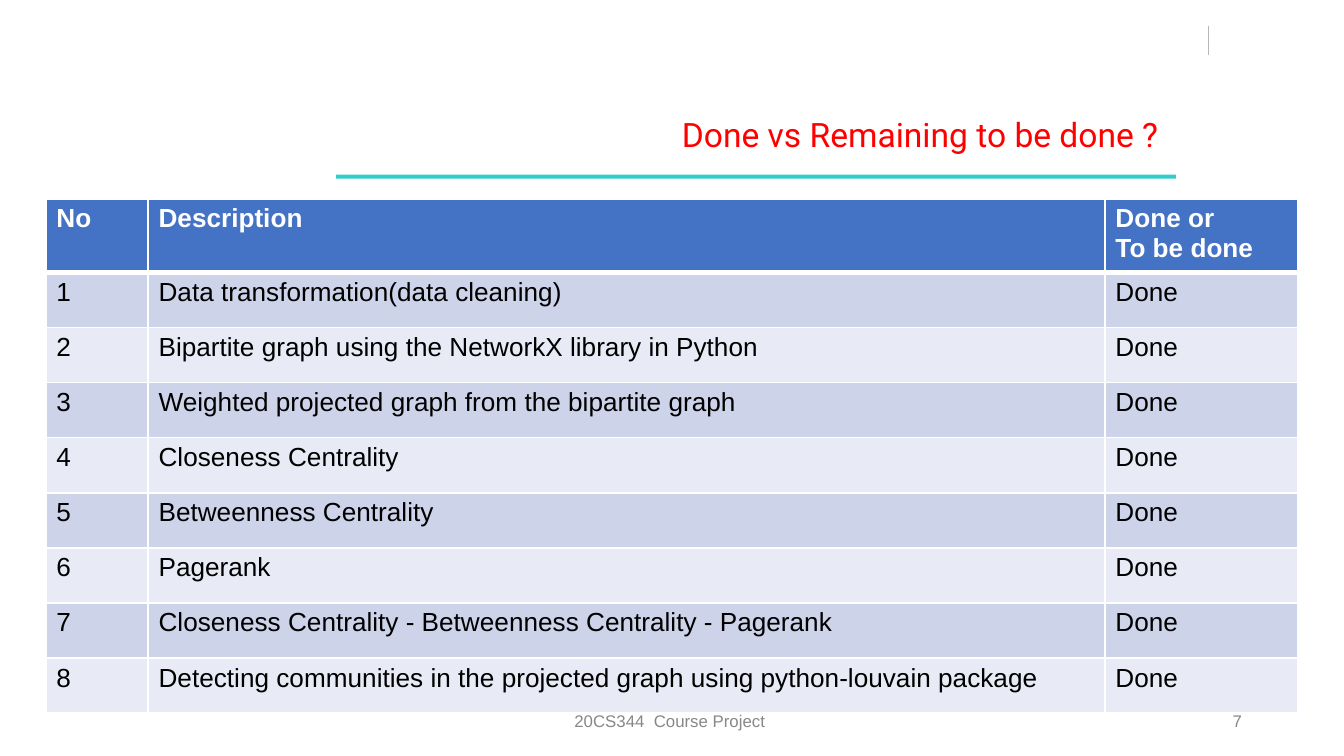
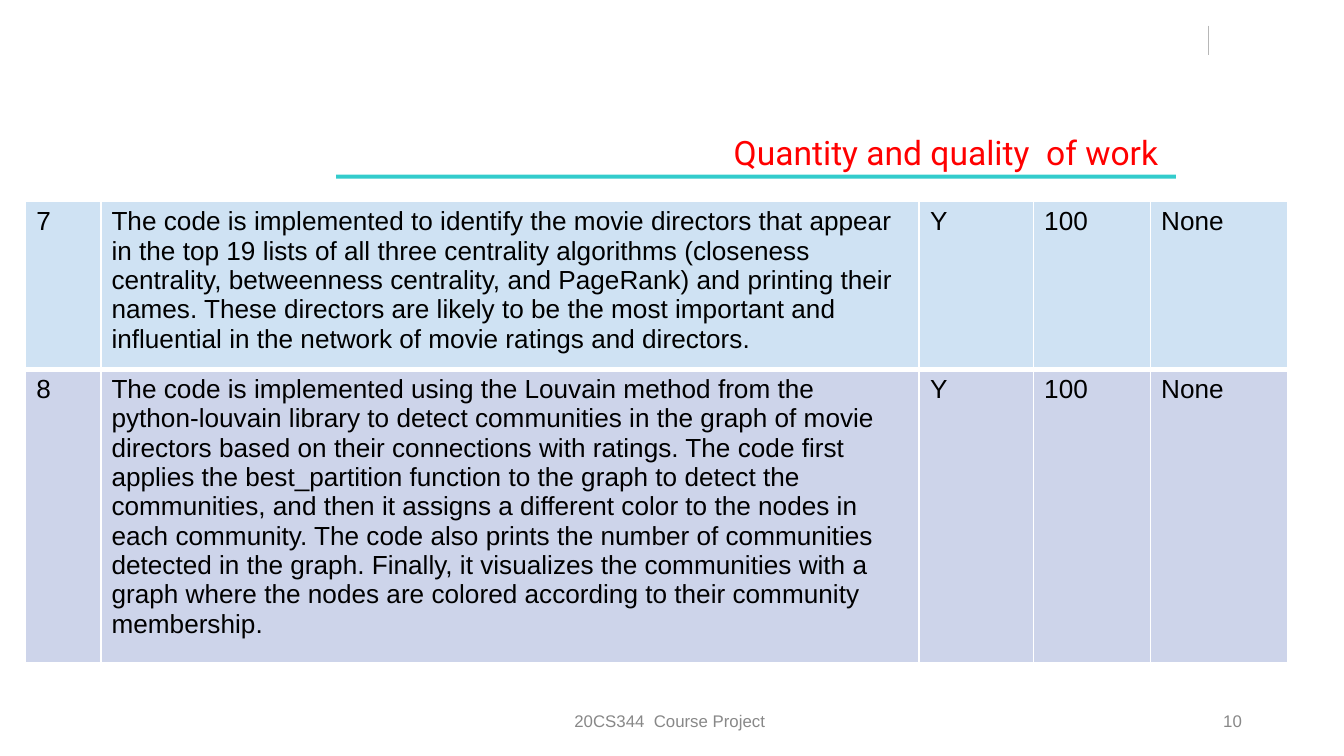
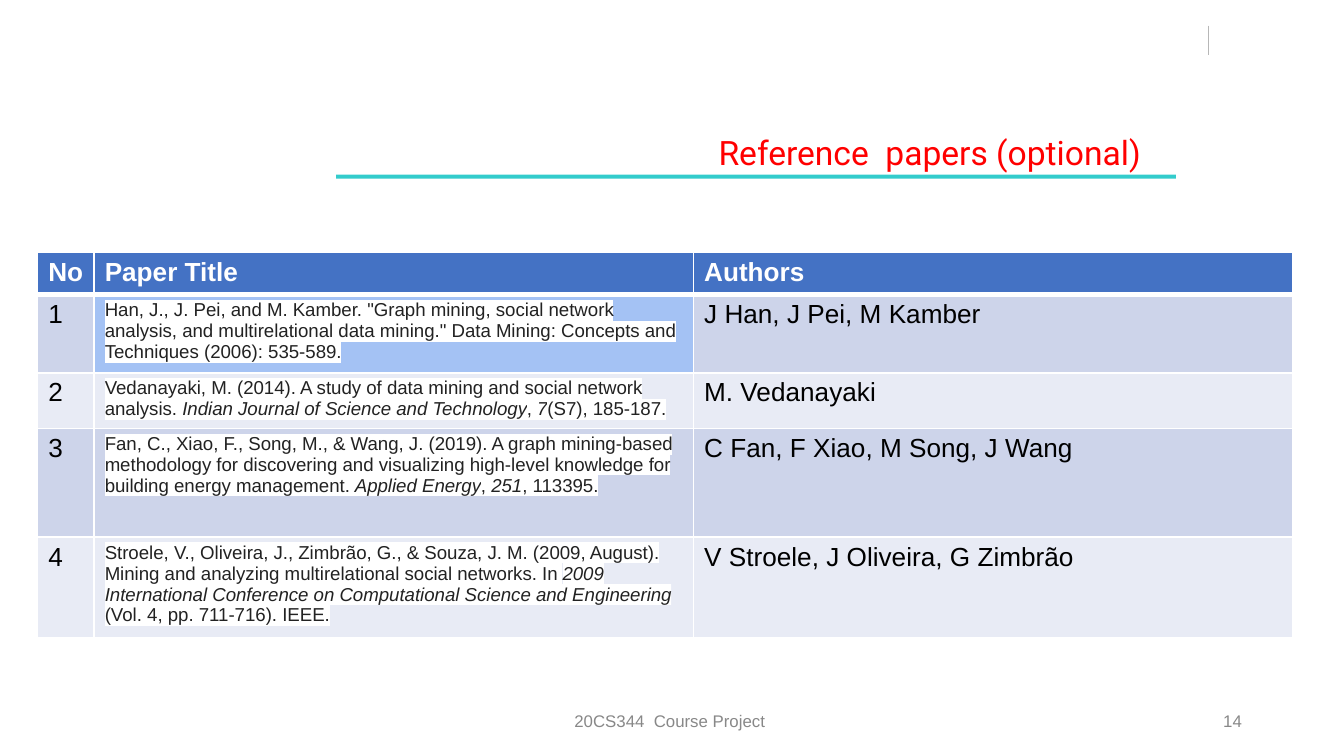
from lxml import etree
from pptx import Presentation
from pptx.dml.color import RGBColor
from pptx.enum.shapes import MSO_CONNECTOR, MSO_SHAPE
from pptx.enum.text import MSO_ANCHOR, MSO_AUTO_SIZE, PP_ALIGN
from pptx.oxml.ns import qn
from pptx.util import Inches, Pt

STRAIGHT, RECTANGLE = MSO_CONNECTOR.STRAIGHT, MSO_SHAPE.RECTANGLE
RIGHT, CENTER, MIDDLE = PP_ALIGN.RIGHT, PP_ALIGN.CENTER, MSO_ANCHOR.MIDDLE
GROW = MSO_AUTO_SIZE.SHAPE_TO_FIT_TEXT

WIDTH, HEIGHT = 10, 10 * 9 / 16
BODY_FONT, TITLE_FONT = "Arial", "Roboto"
RED, TEAL, GREY, TICK = "FF0000", "33CCCC", "888888", "B7B7B7"
WHITE, BLACK, CITATION = "FFFFFF", "000000", "222222"
HEADER, BANDS = "4472C4", ("CDD4EA", "E8EBF5")
PALE_BLUE, SKY_BLUE = "CFE2F3", "A4C2F4"
FOOTER = "20CS344  Course Project "

TASKS = [
    "Data transformation(data cleaning)",
    "Bipartite graph using the NetworkX library in Python",
    "Weighted projected graph from the bipartite graph",
    "Closeness Centrality",
    "Betweenness Centrality",
    "Pagerank",
    "Closeness Centrality - Betweenness Centrality - Pagerank",
    "Detecting communities in the projected graph using python-louvain package",
]
WORK = [
    "The code is implemented to identify the movie directors that appear in the "
    "top 19 lists of all three centrality algorithms (closeness centrality, "
    "betweenness centrality, and PageRank) and printing their names. These "
    "directors are likely to be the most important and influential in the "
    "network of movie ratings and directors.",
    "The code is implemented using the Louvain method from the python-louvain "
    "library to detect communities in the graph of movie directors based on "
    "their connections with ratings. The code first applies the best_partition "
    "function to the graph to detect the communities, and then it assigns a "
    "different color to the nodes in each community. The code also prints the "
    "number of communities detected in the graph. Finally, it visualizes the "
    "communities with a graph where the nodes are colored according to their "
    "community membership.",
]
# Each citation is a list of parts, by turns upright and italic.
PAPERS = [
    (['Han, J., J. Pei, and M. Kamber. "Graph mining, social network analysis, '
      'and multirelational data mining." Data Mining: Concepts and Techniques '
      '(2006): 535-589.'],
     "J Han, J Pei, M Kamber"),
    (["Vedanayaki, M. (2014). A study of data mining and social network analysis. ",
      "Indian Journal of Science and Technology", ", ", "7", "(S7), 185-187."],
     "M. Vedanayaki"),
    (["Fan, C., Xiao, F., Song, M., & Wang, J. (2019). A graph mining-based "
      "methodology for discovering and visualizing high-level knowledge for "
      "building energy management. ",
      "Applied Energy", ", ", "251", ", 113395."],
     "C Fan, F Xiao, M Song, J Wang"),
    (["Stroele, V., Oliveira, J., Zimbrão, G., & Souza, J. M. (2009, August). "
      "Mining and analyzing multirelational social networks. In ",
      "2009 International Conference on Computational Science and Engineering",
      " (Vol. 4, pp. 711-716). IEEE."],
     "V Stroele, J Oliveira, G Zimbrão"),
]

SLIDES = [
    {"title": "Done vs Remaining to be done ?", "number": 7,
     "title_at": (2.38, 0.81, 6.44, 0.38), "title_inset": 0.2,
     "table_at": (0.34, 1.48), "columns": [0.76, 7.12, 1.44],
     "heights": [0.53] + [0.41] * len(TASKS),
     "header": ["No", "Description", "Done or\nTo be done"],
     "rows": [[str(n), task, "Done"] for n, task in enumerate(TASKS, 1)]},
    {"title": "Quantity and quality  of work", "number": 10,
     "title_at": (2.38, 0.94, 6.38, 0.38), "title_inset": 0.14,
     "table_at": (0.19, 1.5), "columns": [0.56, 6.09, 0.85, 0.87, 1.02],
     "heights": [1.23, 2.17],
     "rows": [[str(n), work, "Y", "100", "None"] for n, work in enumerate(WORK, 7)],
     "row_fills": [PALE_BLUE, BANDS[0]]},
    {"title": "Reference  papers (optional)", "number": 14,
     "title_at": (2.38, 0.94, 6.38, 0.38), "title_inset": 0.27,
     "table_at": (0.28, 1.88), "columns": [0.42, 4.46, 4.46],
     "heights": [0.3, 0.57, 0.41, 0.81, 0.74],
     "header": ["No", "Paper Title", "Authors"],
     "rows": [[str(n), *paper] for n, paper in enumerate(PAPERS, 1)],
     "special_fills": {(1, 1): SKY_BLUE}},
]


def color(value):
    """Turn a hex string into a colour."""
    return RGBColor.from_string(value)


def add_run(para, text, size, ink, font=BODY_FONT, bold=False, italic=False,
            highlight=None):
    """Add one styled run to a paragraph."""
    span = para.add_run()
    span.text = text
    span.font.size, span.font.name = Pt(size), font
    span.font.bold, span.font.italic = bold, italic
    span.font.color.rgb = color(ink)
    if highlight:
        marker = etree.Element(qn("a:highlight"))
        etree.SubElement(marker, qn("a:srgbClr"), val=highlight)
        span.font._element.find(qn("a:solidFill")).addnext(marker)


def add_text(page, place, text, size, ink, align, font=BODY_FONT, right_inset=0.07):
    """Add a one-line text box and return it."""
    box = page.shapes.add_textbox(*map(Inches, place))
    frame = box.text_frame
    frame.word_wrap = True
    frame.margin_left, frame.margin_right = Inches(0.07), Inches(right_inset)
    frame.margin_top = frame.margin_bottom = Inches(0.04)
    para = frame.paragraphs[0]
    para.alignment = align
    add_run(para, text, size, ink, font)
    return box


def add_frame(page, content):
    """Add the tick, title, rule, footer and page number."""
    tick = page.shapes.add_connector(
        STRAIGHT, Inches(8.99), Inches(0.19), Inches(8.99), Inches(0.41))
    tick.line.color.rgb, tick.line.width = color(TICK), Pt(0.75)
    etree.SubElement(tick._element.spPr, qn("a:effectLst"))

    rule = page.shapes.add_shape(
        RECTANGLE, Inches(2.5), Inches(1.3), Inches(6.25), Inches(0.03))
    rule.shadow.inherit = False
    rule.fill.solid()
    rule.fill.fore_color.rgb = color(TEAL)
    rule.line.fill.background()

    title = add_text(page, content["title_at"], content["title"], 18, RED, RIGHT,
                     TITLE_FONT, content["title_inset"])
    title.text_frame.auto_size = GROW
    for place, text, align in [
        ((3.31, 5.21, 3.38, 0.3), FOOTER, CENTER),
        ((7.06, 5.21, 2.25, 0.3), str(content["number"]), RIGHT),
    ]:
        box = add_text(page, place, text, 9, GREY, align)
        box.text_frame.vertical_anchor = MIDDLE


def style_cell(cell, fill, bottom):
    """Set the insets, white borders and fill of a cell."""
    cell.margin_left = cell.margin_right = Inches(0.08)
    cell.margin_top = cell.margin_bottom = Inches(0.04)
    properties = cell._tc.get_or_add_tcPr()
    for side, width in (("L", 1), ("R", 1), ("T", 1), ("B", bottom)):
        border = etree.SubElement(properties, qn("a:ln" + side), w=str(Pt(width)))
        paint = etree.SubElement(border, qn("a:solidFill"))
        etree.SubElement(paint, qn("a:srgbClr"), val=WHITE)
    cell.fill.solid()
    cell.fill.fore_color.rgb = color(fill)


def write_cell(cell, value, is_header):
    """Write a citation, or plain text with one paragraph a line."""
    frame = cell.text_frame
    if isinstance(value, list):
        for index, part in enumerate(value):
            add_run(frame.paragraphs[0], part, 10, CITATION,
                    italic=index % 2 == 1, highlight=WHITE)
        return
    for index, line in enumerate(value.split("\n")):
        para = frame.add_paragraph() if index else frame.paragraphs[0]
        add_run(para, line, 14, WHITE if is_header else BLACK, bold=is_header)


def add_grid(page, content):
    """Add the table with its header and banded rows."""
    header = [content["header"]] if "header" in content else []
    rows = header + content["rows"]
    banded = [HEADER] * len(header) + [
        BANDS[index % 2] for index in range(len(content["rows"]))]
    fills = content.get("row_fills", banded)
    special = content.get("special_fills", {})
    columns, heights = content["columns"], content["heights"]
    left, top = content["table_at"]
    table = page.shapes.add_table(
        len(rows), len(columns), Inches(left), Inches(top),
        Inches(sum(columns)), Inches(sum(heights))).table
    table.first_row, table.horz_banding = bool(header), False
    for column, width in zip(table.columns, columns):
        column.width = Inches(width)
    for r, values in enumerate(rows):
        table.rows[r].height = Inches(heights[r])
        for c, value in enumerate(values):
            cell = table.cell(r, c)
            style_cell(cell, special.get((r, c), fills[r]), 1 if r else 3)
            write_cell(cell, value, r < len(header))


def build():
    """Build the deck and save it."""
    deck = Presentation()
    deck.slide_width, deck.slide_height = Inches(WIDTH), Inches(HEIGHT)
    for content in SLIDES:
        page = deck.slides.add_slide(deck.slide_layouts[6])
        add_frame(page, content)
        add_grid(page, content)
    deck.save("out.pptx")


build()
